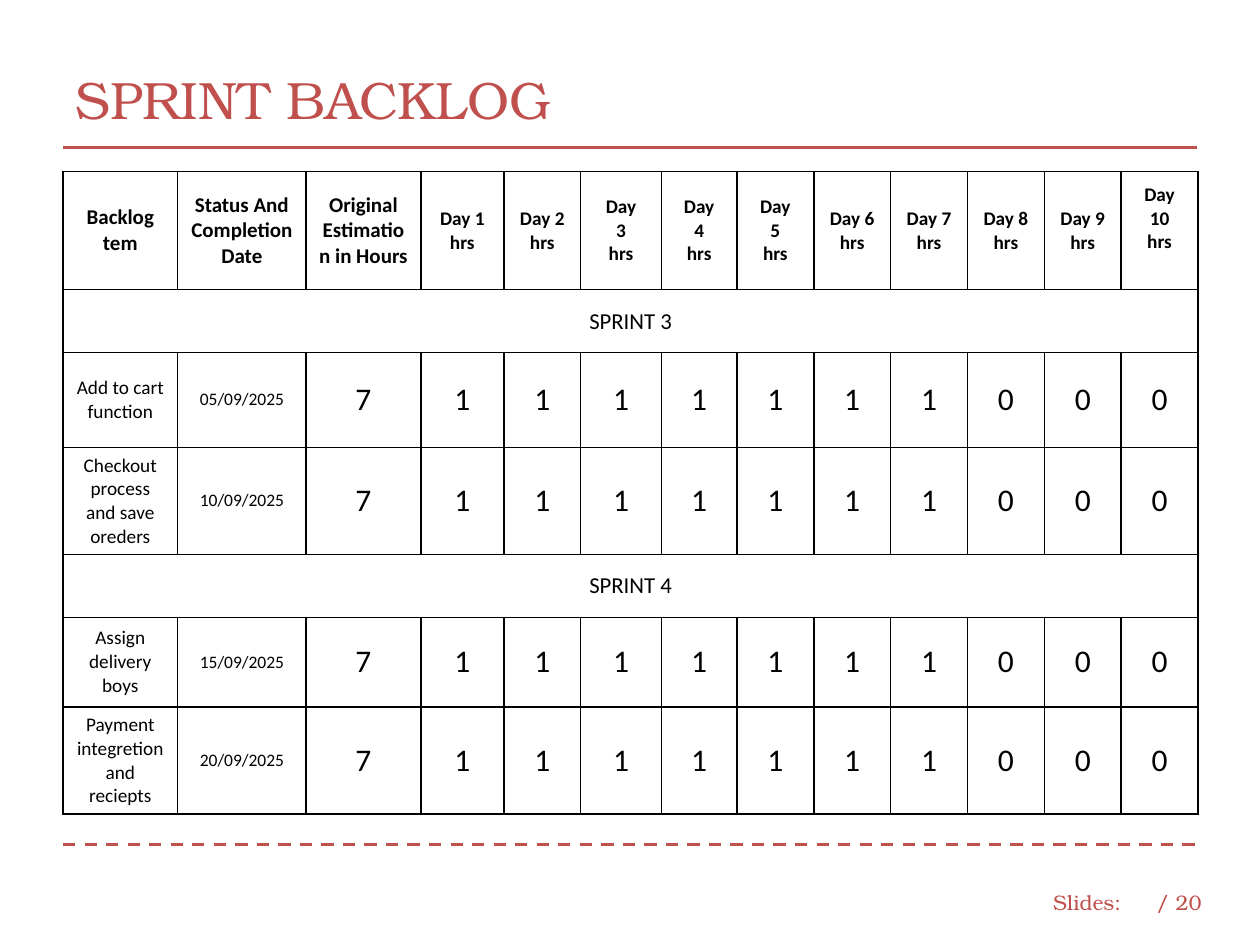
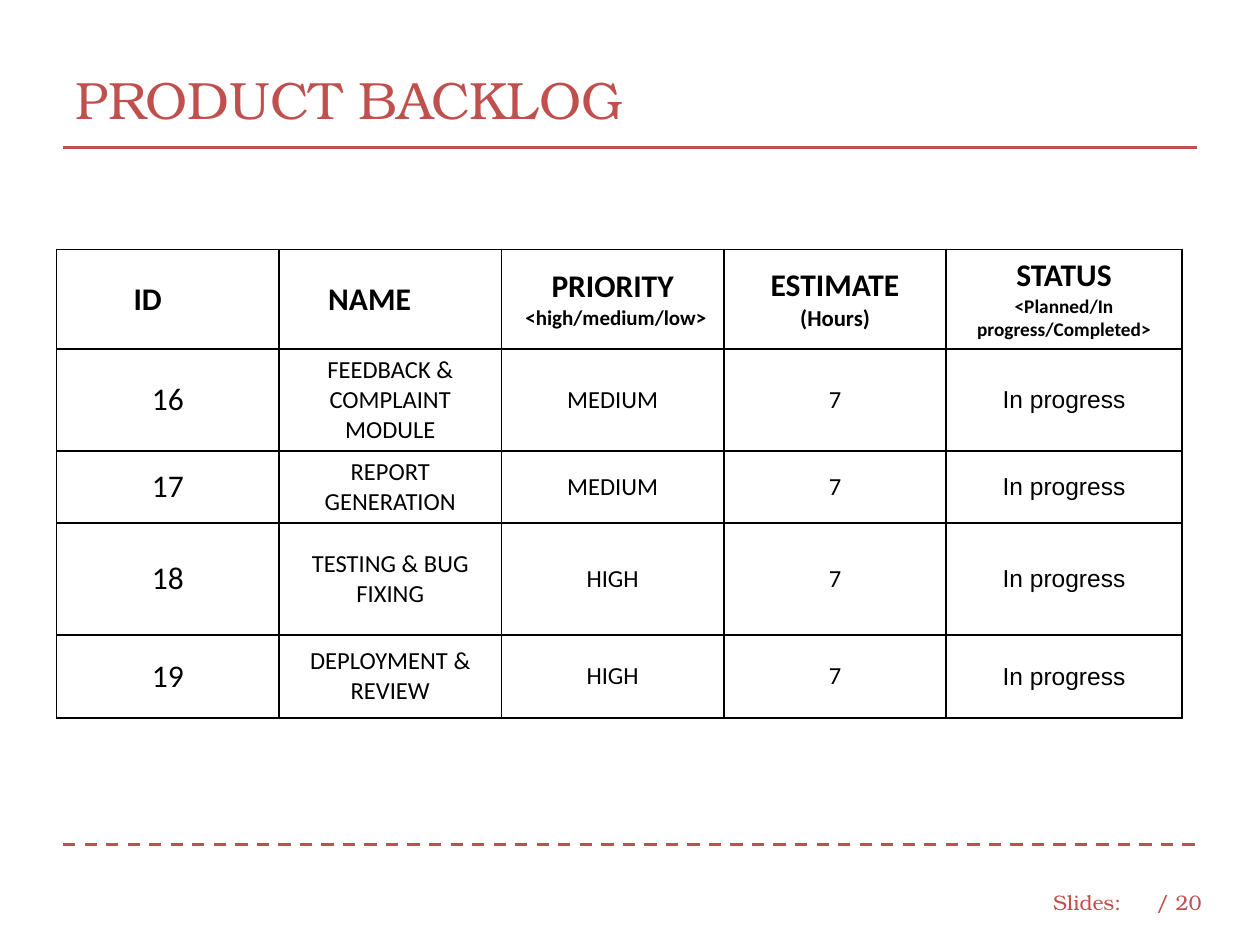
"""Build the sprint backlog and product backlog slides."""
from dataclasses import dataclass
from typing import Any

from lxml import etree
from pptx import Presentation
from pptx import util as u
from pptx.dml.color import RGBColor
from pptx.enum import dml, shapes, text
from pptx.oxml import ns


@dataclass(frozen=True)
class Theme:
    """Colours, fonts and type sizes."""
    red: RGBColor = RGBColor(0xC0, 0x50, 0x4D)
    ink: RGBColor = RGBColor(0, 0, 0)
    paper: RGBColor = RGBColor(255, 255, 255)
    serif: str = "TeX Gyre Bonum"
    sans: str = "Calibri"
    plain: str = "Arial"
    title: int = 30
    large: int = 18
    body: int = 14
    band: int = 13
    head: int = 12
    note: int = 11
    date: int = 10
    rule: float = 1.75
    edge: float = 0.96


T = Theme()
MID = text.MSO_ANCHOR.MIDDLE
LEFT, MIDDLE = text.PP_ALIGN.LEFT, text.PP_ALIGN.CENTER


@dataclass(frozen=True)
class Line:
    """One paragraph of a cell or box; an indent aligns it left."""
    words: str
    size: int
    bold: bool = False
    font: str = T.sans
    color: RGBColor = T.ink
    indent: float | None = None


@dataclass(frozen=True)
class Cell:
    """One table cell with its lines, its span and its lower inset."""
    lines: list[Line]
    span: int = 1
    foot: float = 0.05


@dataclass(frozen=True)
class Grid:
    """A table with its place, column widths and row heights."""
    left: float
    top: float
    cols: list[float]
    rows: list[float]
    cells: list[list[Cell]]


@dataclass(frozen=True)
class Rule:
    """A line across the slide."""
    y: float
    dash: Any = None


@dataclass(frozen=True)
class Label:
    """A footer text."""
    left: float
    width: float
    words: str


RULES = [Rule(1.17), Rule(6.7, dml.MSO_LINE.DASH)]
LABELS = [Label(8.26, 0.75, "Slides:"), Label(9.08, 0.57, "/ 20")]


def put(obj: Any, **vals: Any) -> None:
    """Set each attribute from the format values."""
    for key, val in vals.items():
        setattr(obj, key, val)


def write(frame: Any, lines: list[Line]) -> None:
    """Fill a text frame with formatted paragraphs."""
    for i, line in enumerate(lines):
        par = frame.add_paragraph() if i else frame.paragraphs[0]
        par.alignment = MIDDLE if line.indent is None else LEFT
        if line.indent:
            par._p.get_or_add_pPr().set("marL", str(u.Inches(line.indent)))
        run = par.add_run()
        run.text = line.words
        put(run.font, size=u.Pt(line.size), bold=line.bold, name=line.font)
        run.font.color.rgb = line.color


def border(cell: Any) -> None:
    """Draw the four edges of a cell."""
    props = cell._tc.get_or_add_tcPr()
    for i, side in enumerate(("lnL", "lnR", "lnT", "lnB")):
        edge = etree.Element(ns.qn(f"a:{side}"), w=str(u.Pt(T.edge)))
        fill = etree.SubElement(edge, ns.qn("a:solidFill"))
        etree.SubElement(fill, ns.qn("a:srgbClr"), val=str(T.ink))
        props.insert(i, edge)


def table(slide: Any, grid: Grid) -> None:
    """Add a table to the slide."""
    box = map(u.Inches, (grid.left, grid.top, sum(grid.cols), sum(grid.rows)))
    tab = slide.shapes.add_table(len(grid.rows), len(grid.cols), *box).table
    put(tab, first_row=False, horz_banding=False)
    for col, width in zip(tab.columns, grid.cols):
        col.width = u.Inches(width)
    for row, high in zip(tab.rows, grid.rows):
        row.height = u.Inches(high)
    for cell in tab.iter_cells():
        cell.fill.solid()
        cell.fill.fore_color.rgb = T.paper
        border(cell)
    for r, row in enumerate(grid.cells):
        for c, item in enumerate(row):
            cell = tab.cell(r, c)
            if item.span > 1:
                cell.merge(tab.cell(r, c + item.span - 1))
            put(cell, vertical_anchor=MID, margin_bottom=u.Inches(item.foot))
            write(cell.text_frame, item.lines)


def rule(slide: Any, item: Rule) -> None:
    """Draw a line across the slide."""
    ends = map(u.Inches, (0.5, item.y, 9.5, item.y))
    con = slide.shapes.add_connector(shapes.MSO_CONNECTOR.STRAIGHT, *ends)
    put(con.line, width=u.Pt(T.rule), dash_style=item.dash)
    con.line.color.rgb = T.red
    etree.SubElement(con._element.spPr, ns.qn("a:effectLst"))


def label(slide: Any, item: Label) -> None:
    """Write a footer text."""
    box = map(u.Inches, (item.left, 6.96, item.width, 0.4))
    frame = slide.shapes.add_textbox(*box).text_frame
    put(frame, word_wrap=True, vertical_anchor=MID)
    write(frame, [Line(item.words, T.head, False, T.serif, T.red, 0)])


def page(deck: Any, title: str, grid: Grid) -> None:
    """Add a slide with its title, rules, footer and table."""
    slide = deck.slides.add_slide(deck.slide_layouts[5])
    head = slide.shapes.title
    put(head, left=u.Inches(0.5), top=u.Inches(0.33),
        width=u.Inches(9), height=u.Inches(0.91))
    put(head.text_frame, word_wrap=True, vertical_anchor=MID)
    write(head.text_frame, [Line(title, T.title, False, T.serif, T.red, 0)])
    for item in RULES:
        rule(slide, item)
    for item in LABELS:
        label(slide, item)
    table(slide, grid)


def one(words: str, size: int, bold: bool = False, font: str = T.sans,
        indent: float | None = None) -> Cell:
    """Make a cell of one line."""
    return Cell([Line(words, size, bold, font, indent=indent)])


def day(num: int) -> Cell:
    """Make the heading of a day column."""
    parts = ["Day", str(num)] if num in (3, 4, 5) else [f"Day {num}"]
    lines = [Line(part, T.note, True) for part in parts + ["hrs"]]
    return Cell(lines, foot=0.24 if num == 10 else 0.05)


def band(num: int) -> list[Cell]:
    """Make the row that names a sprint."""
    return [Cell([Line(f"SPRINT {num}", T.band)], span=13)]


def task(name: str, date: str) -> list[Cell]:
    """Make a task row: seven hours, one on each of the first seven days."""
    hours = ["7"] + ["1"] * 7 + ["0"] * 3
    return [one(name, T.note), one(date, T.date)] + [one(h, T.large) for h in hours]


def story(num: int, name: str, rank: str) -> list[Cell]:
    """Make a product backlog row."""
    return [one(str(num), T.large), one(name, T.body), one(rank, T.body),
            one("7", T.body), one("In progress", T.body, font=T.plain)]


def pair(top: str, low: str, size: int, indent: float | None = None) -> Cell:
    """Make a heading with a smaller line below."""
    return Cell([Line(top, T.large, True), Line(low, size, True, indent=indent)])


def sprint() -> Grid:
    """Describe the sprint backlog."""
    names = ("Backlog tem", "Status And Completion Date",
             "Original Estimation in Hours")
    return Grid(
        0.5, 1.36,
        [0.91, 1.02, 0.91, 0.66, 0.61, 0.64, 0.6] + [0.61] * 6,
        [0.94, 0.5, 0.75, 0.85, 0.5, 0.71, 0.85],
        [[one(n, T.head, True) for n in names] + [day(n) for n in range(1, 11)],
         band(3),
         task("Add to cart function", "05/09/2025"),
         task("Checkout process and save oreders", "10/09/2025"),
         band(4),
         task("Assign delivery boys", "15/09/2025"),
         task("Payment integretion and reciepts", "20/09/2025")])


def product() -> Grid:
    """Describe the product backlog."""
    return Grid(
        0.45, 1.98, [1.765] * 4 + [1.87], [0.79, 0.81, 0.57, 0.89, 0.66],
        [[one("ID", T.large, True, indent=0.51),
          one("NAME", T.large, True, indent=0.29),
          pair("PRIORITY", "<high/medium/low>", T.head, 0.09),
          pair("ESTIMATE", "(Hours)", T.band),
          pair("STATUS", "<Planned/In progress/Completed>", T.note)],
         story(16, "FEEDBACK & COMPLAINT MODULE", "MEDIUM"),
         story(17, "REPORT GENERATION", "MEDIUM"),
         story(18, "TESTING & BUG FIXING", "HIGH"),
         story(19, "DEPLOYMENT & REVIEW", "HIGH")])


def main() -> None:
    """Build and save the deck."""
    deck = Presentation()
    put(deck, slide_width=u.Inches(10), slide_height=u.Inches(7.5))
    page(deck, "SPRINT BACKLOG", sprint())
    page(deck, "PRODUCT BACKLOG", product())
    deck.save("out.pptx")


if __name__ == "__main__":
    main()
